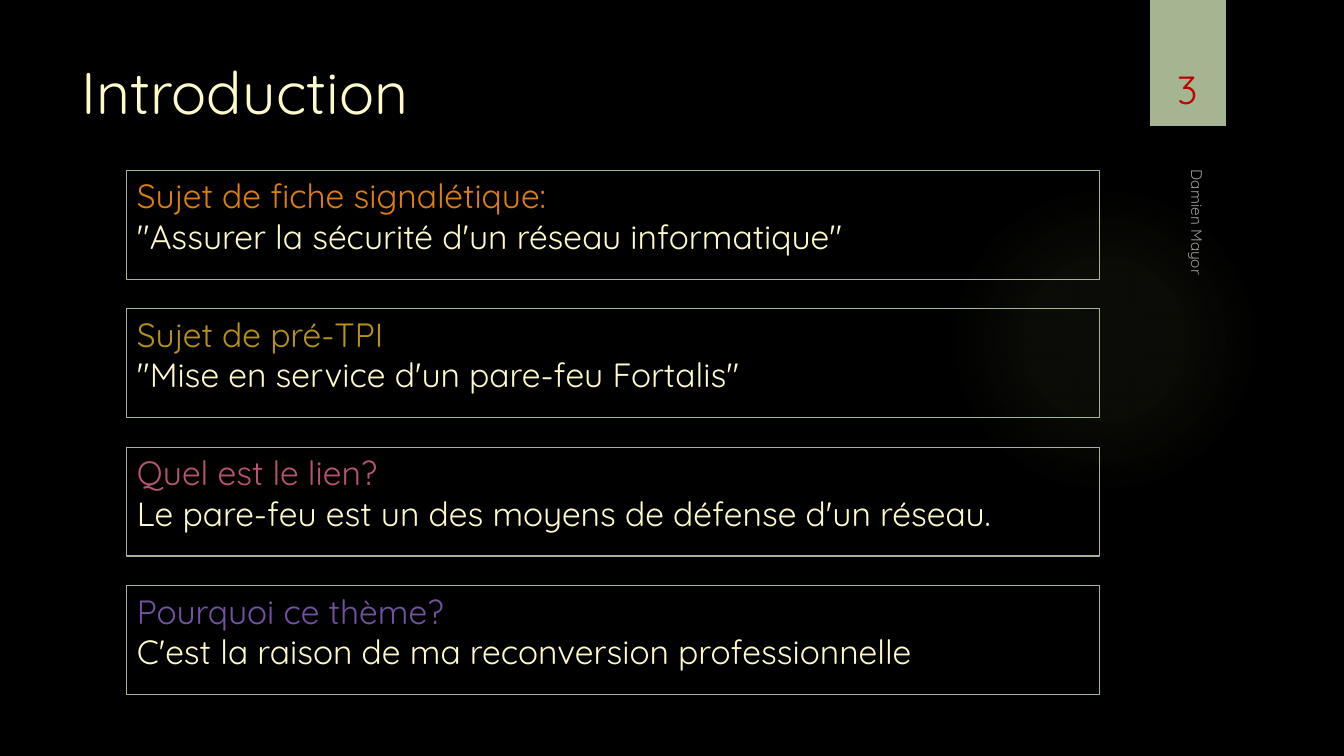
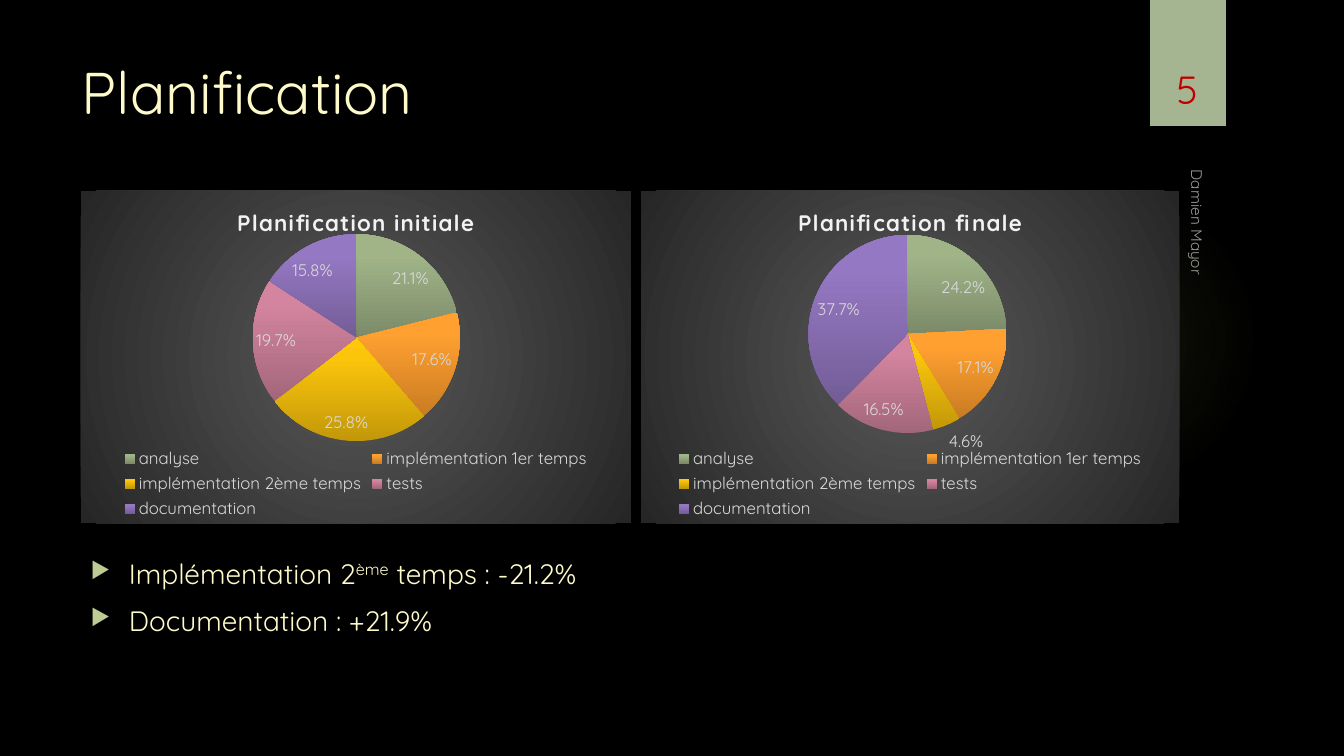
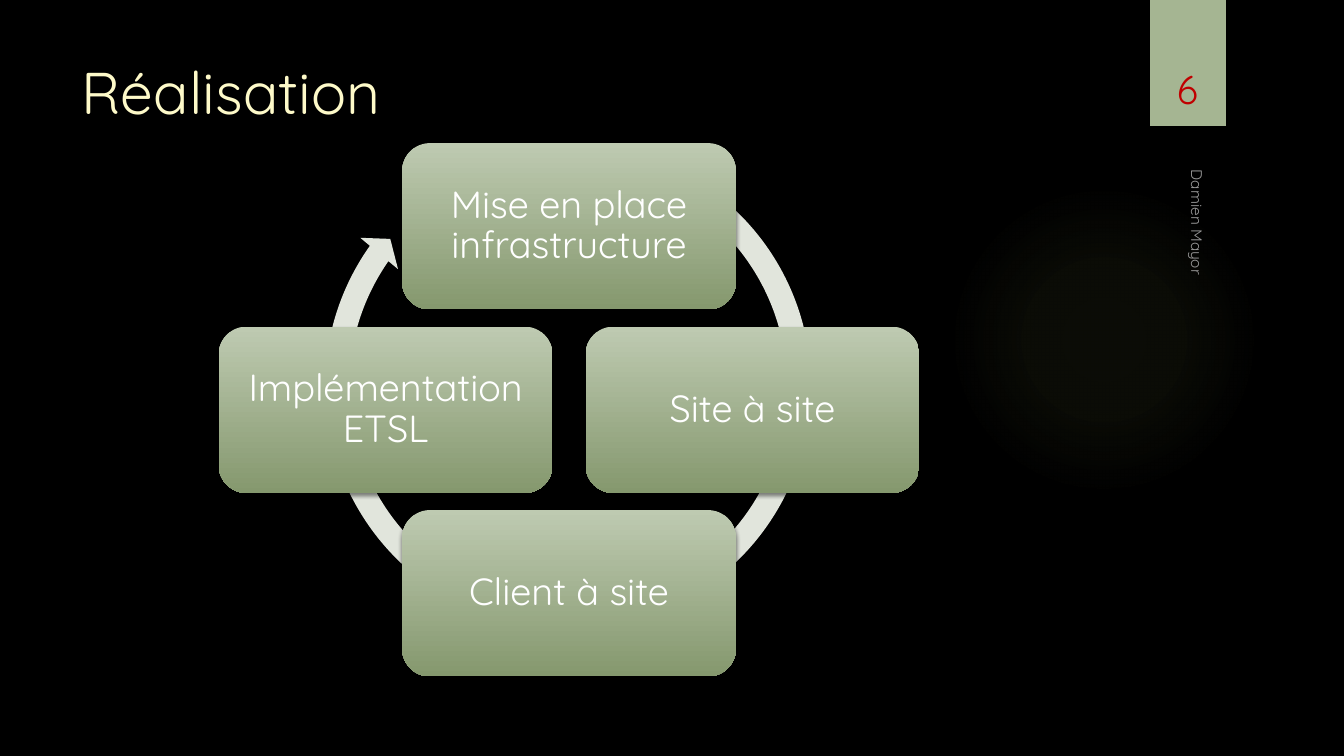
import math

import pptx
import pptx.chart.data
import pptx.dml.color
import pptx.enum.chart
import pptx.enum.shapes
import pptx.enum.text
import pptx.oxml
import pptx.oxml.ns
import pptx.util

SHAPE = pptx.enum.shapes.MSO_SHAPE
ALIGN = pptx.enum.text.PP_ALIGN
ANCHOR = pptx.enum.text.MSO_ANCHOR
WIDE, HIGH = pptx.util.Inches(13.333), pptx.util.Inches(7.5)


class Theme:
    font = "Quicksand"
    back, cream, white = "000000", "FEFAC9", "FFFFFF"
    sage, bullet, red, grey = "A5B592", "BECB95", "C00000", "999999"
    pale, head, ring = "D9D9D9", "F2F2F2", "E1E5DC"
    glow = [(0, "9EB160", 7), (36, "9EB160", 6), (69, "9EB160", 0)]
    step = [(0, "BECAB1", 100), (100, "85986E", 100)]
    panel = [(0, "595959", 100), (100, "262626", 100)]
    slices = [("7B8B69", "A0B488", "A1B688"), ("C97C22", "FFA031", "FFA133"),
              ("C29809", "FBC50C", "FFC80A"), ("A2667A", "D3849F", "D5849F"),
              ("735D96", "9578C3", "9677C5")]
    title, number, node, lead, body = 42, 28, 27, 24, 20
    chart, label, foot = 16, 12, 11


# ---- Helpers ----
def place(x, y, w, h):
    """Turn percentages of the slide into lengths."""
    return [int(side * share / 100)
            for side, share in zip((WIDE, HIGH, WIDE, HIGH), (x, y, w, h))]


def color(code):
    return pptx.dml.color.RGBColor.from_string(code)


def xml(text):
    """Build an element whose root tag is followed by a space or a bracket."""
    end = min(text.index(mark) for mark in " >" if mark in text)
    names = pptx.oxml.ns.nsdecls("a", "c")
    return pptx.oxml.parse_xml(f"{text[:end]} {names}{text[end:]}")


def style(font, size, code, bold=False):
    font.name, font.size, font.bold = Theme.font, pptx.util.Pt(size), bold
    font.color.rgb = color(code)


def grade(props, stops, angle=None):
    """Replace the empty fill with a linear or, without angle, round gradient."""
    marks = "".join(
        f'<a:gs pos="{pos * 1000}"><a:srgbClr val="{code}">'
        f'<a:alpha val="{alpha * 1000}"/></a:srgbClr></a:gs>'
        for pos, code, alpha in stops)
    if angle is None:
        way = ('<a:path path="circle"><a:fillToRect l="50000" t="50000" '
               'r="50000" b="50000"/></a:path>')
    else:
        way = f'<a:lin ang="{angle * 60000}" scaled="0"/>'
    blank = props.find(pptx.oxml.ns.qn("a:noFill"))
    props.replace(blank, xml(f'<a:gradFill rotWithShape="1"><a:gsLst>{marks}'
                             f'</a:gsLst>{way}</a:gradFill>'))


def shade(shape):
    effect = shape._element.spPr.find(pptx.oxml.ns.qn("a:effectLst"))
    effect.append(xml(
        '<a:outerShdw blurRad="38100" dist="25400" dir="5400000" rotWithShape="0">'
        '<a:srgbClr val="000000"><a:alpha val="45000"/></a:srgbClr></a:outerShdw>'))


def draw(slide, kind, area, fill=None, line=None):
    shape = slide.shapes.add_shape(kind, *place(*area))
    shape.shadow.inherit = False
    if fill:
        shape.fill.solid()
        shape.fill.fore_color.rgb = color(fill)
    else:
        shape.fill.background()
    if line:
        shape.line.color.rgb = color(line)
        shape.line.width = pptx.util.Pt(0.75)
    else:
        shape.line.fill.background()
    return shape


def write(frame, lines, size, anchor=ANCHOR.TOP, align=ALIGN.LEFT):
    """Fill a text frame with (text, colour) lines."""
    frame.word_wrap = True
    frame.auto_size = pptx.enum.text.MSO_AUTO_SIZE.NONE
    frame.vertical_anchor = anchor
    for i, (text, code) in enumerate(lines):
        para = frame.add_paragraph() if i else frame.paragraphs[0]
        para.text, para.alignment = text, align
        style(para.font, size, code)


def label(slide, area, text, size, code, align):
    box = slide.shapes.add_textbox(*place(*area))
    write(box.text_frame, [(text, code)], size, ANCHOR.BOTTOM, align)
    return box


# ---- Shared frame ----
def start(deck, title, number):
    slide = deck.slides.add_slide(deck.slide_layouts[5])
    glow = draw(slide, SHAPE.OVAL, (70.58, 24.4, 23.1, 41.07))
    grade(glow._element.spPr, Theme.glow)
    shade(draw(slide, SHAPE.RECTANGLE, (85.58, 0, 5.63, 16.67), Theme.sage))
    head = slide.shapes.title
    head.left, head.top, head.width, head.height = place(5.33, 6.67, 77.18, 20.4)
    write(head.text_frame, [(title, Theme.cream)], Theme.title)
    foot = label(slide, (73.43, 47.07, 31.65, 4.4), "Damien Mayor",
                 Theme.foot, Theme.grey, ALIGN.LEFT)
    foot.rotation = 90
    label(slide, (84.9, 4.27, 6.9, 11.2), str(number),
          Theme.number, Theme.red, ALIGN.CENTER)
    return slide


# ---- Framed topics ----
def topics(slide, items):
    for i, (head, code, text) in enumerate(items):
        box = draw(slide, SHAPE.RECTANGLE, (9.45, 22.53 + 18.31 * i, 72.38, 14.4),
                   line=Theme.sage)
        write(box.text_frame, [(head, code), (text, Theme.cream)], Theme.lead)


# ---- Pie charts ----
def pie(slide, area, title, names, values, plot):
    data = pptx.chart.data.CategoryChartData(number_format="0.0%")
    data.categories = names
    data.add_series(title, values)
    kind = pptx.enum.chart.XL_CHART_TYPE.PIE
    chart = slide.shapes.add_chart(kind, *place(*area), data).chart
    style(chart.font, 10, Theme.white)

    chart.has_title = True
    para = chart.chart_title.text_frame.paragraphs[0]
    para.text = title
    style(para.font, Theme.chart, Theme.head, True)
    para.font._element.set("spc", "100")
    chart.has_legend = True
    chart.legend.position = pptx.enum.chart.XL_LEGEND_POSITION.BOTTOM
    chart.legend.include_in_layout = False
    style(chart.legend.font, Theme.label, Theme.pale)

    pies = chart.plots[0]
    pies.vary_by_categories = True
    pies.has_data_labels = True
    tags = pies.data_labels
    tags.show_value, tags.show_percentage = True, False
    tags.number_format, tags.number_format_is_linked = "0.0%", False
    tags.position = pptx.enum.chart.XL_LABEL_POSITION.BEST_FIT
    style(tags.font, Theme.label, Theme.pale)
    for i, tones in enumerate(Theme.slices):
        form = pies.series[0].points[i].format
        form.fill.background()
        stops = [(pos, tone, 100) for pos, tone in zip((0, 80, 100), tones)]
        grade(form._element.get_or_add_spPr(), stops, 270)

    # Panel fill and fixed plot area
    space = chart._chartSpace
    panel = xml("<c:spPr><a:noFill/><a:ln><a:noFill/></a:ln></c:spPr>")
    space.find(pptx.oxml.ns.qn("c:chart")).addnext(panel)
    grade(panel, Theme.panel)
    zone = space.xpath("c:chart/c:plotArea")[0]
    for old in zone.findall(pptx.oxml.ns.qn("c:layout")):
        zone.remove(old)
    sides = "".join(f'<c:{key} val="{val}"/>' for key, val in zip("xywh", plot))
    zone.insert(0, xml(
        '<c:layout><c:manualLayout><c:layoutTarget val="inner"/>'
        f'<c:xMode val="edge"/><c:yMode val="edge"/>{sides}'
        '</c:manualLayout></c:layout>'))


def bullets(slide, area, items):
    """Each item is a list of (text, raised) runs."""
    frame = slide.shapes.add_textbox(*place(*area)).text_frame
    frame.word_wrap = True
    for i, parts in enumerate(items):
        para = frame.add_paragraph() if i else frame.paragraphs[0]
        para.space_before = pptx.util.Pt(10)
        props = para._p.get_or_add_pPr()
        dent = pptx.util.Inches(0.38)
        props.set("marL", str(dent))
        props.set("indent", str(-dent))
        for mark in (f'<a:buClr><a:srgbClr val="{Theme.bullet}"/></a:buClr>',
                     '<a:buSzPct val="80000"/>', '<a:buChar char="▶"/>'):
            props.append(xml(mark))
        style(para.font, Theme.body, Theme.cream)
        for text, raised in parts:
            run = para.add_run()
            run.text = text
            if raised:
                run.font._element.set("baseline", "30000")


# ---- Cycle ----
def cycle(slide, names):
    ring = draw(slide, SHAPE.CIRCULAR_ARROW, (23.25, 17.33, 38.03, 67.6), Theme.ring)
    for i, value in enumerate((0.047, 2.729, 129.091, 179.78, 0.048)):
        ring.adjustments[i] = value
    shade(ring)
    wide, high = 24.83, 22
    for i, name in enumerate(names):
        turn = 2 * math.pi * i / len(names)
        x = 42.34 + 13.65 * math.sin(turn) - wide / 2
        y = 54.2 - 24.27 * math.cos(turn) - high / 2
        node = draw(slide, SHAPE.ROUNDED_RECTANGLE, (x, y, wide, high))
        grade(node._element.spPr, Theme.step, 90)
        shade(node)
        frame = node.text_frame
        write(frame, [(name, Theme.white)], Theme.node, ANCHOR.MIDDLE, ALIGN.CENTER)
        frame.paragraphs[0].line_spacing = 0.9
        inset = pptx.util.Inches(0.11)
        frame.margin_left = frame.margin_right = inset
        frame.margin_top = frame.margin_bottom = inset


def main():
    deck = pptx.Presentation()
    deck.slide_width, deck.slide_height = WIDE, HIGH
    back = deck.slide_master.background.fill
    back.solid()
    back.fore_color.rgb = color(Theme.back)

    # Introduction
    topics(start(deck, "Introduction", 3), [
        ("Sujet de fiche signalétique:", "DD7E0E",
         "\"Assurer la sécurité d'un réseau informatique\""),
        ("Sujet de pré-TPI", "B79315",
         "\"Mise en service d'un pare-feu Fortalis\""),
        ("Quel est le lien?", "B55475",
         "Le pare-feu est un des moyens de défense d'un réseau."),
        ("Pourquoi ce thème?", "7153A1",
         "C'est la raison de ma reconversion professionnelle")])

    # Planning
    slide = start(deck, "Planification", 5)
    names = ["analyse", "implémentation 1er temps", "implémentation 2ème temps",
             "tests", "documentation"]
    pie(slide, (6, 25.2, 40.95, 44), "Planification initiale", names,
        (0.211, 0.176, 0.258, 0.197, 0.158), (0.313, 0.129, 0.376, 0.627))
    pie(slide, (47.7, 25.2, 40.05, 44), "Planification finale", names,
        (0.242, 0.171, 0.046, 0.165, 0.377), (0.311, 0.125, 0.368, 0.613))
    bullets(slide, (6, 72.93, 73.35, 19.6), [
        [("Implémentation 2", False), ("ème", True), (" temps : -21.2%", False)],
        [("Documentation : +21.9%", False)]])

    # Realisation
    cycle(start(deck, "Réalisation", 6),
          ["Mise en place infrastructure", "Site à site", "Client à site",
           "Implémentation ETSL"])
    deck.save("out.pptx")


if __name__ == "__main__":
    main()
